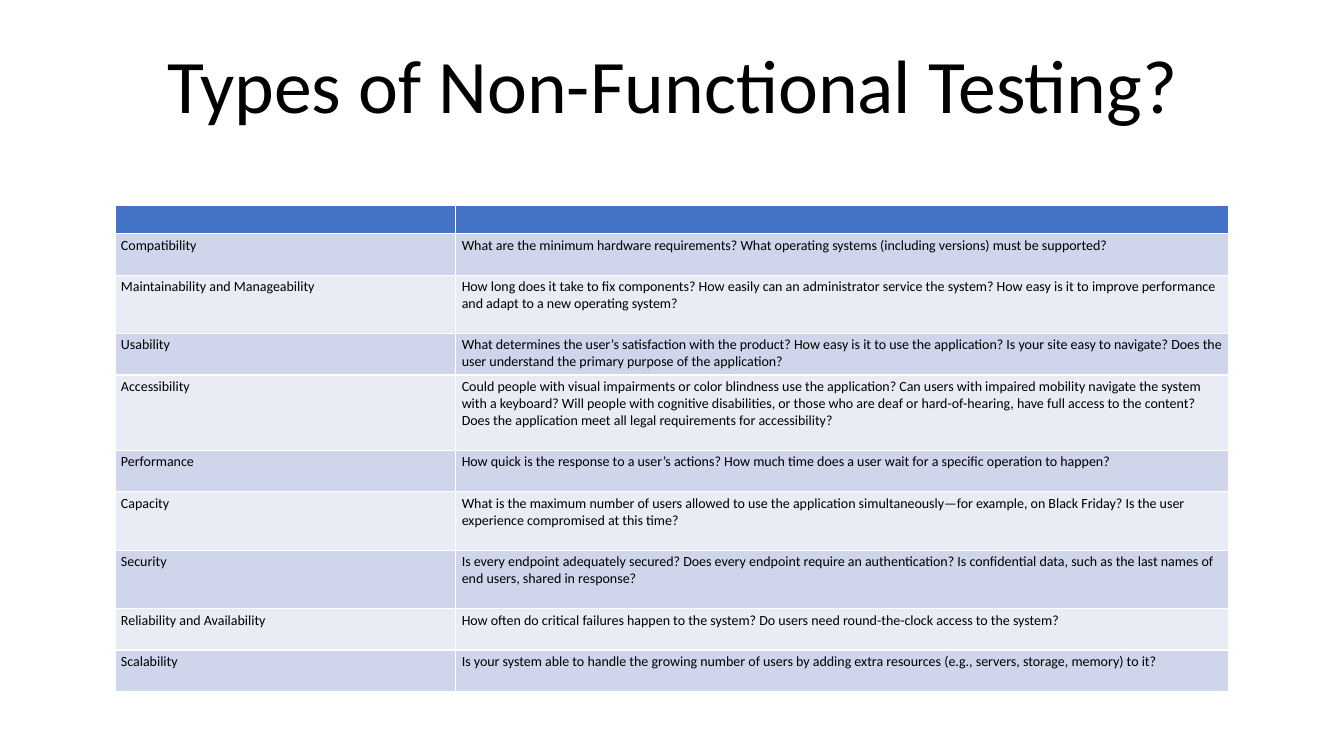
"""Build a slide that lists the types of non-functional testing."""
from pptx import Presentation
from pptx.dml.color import RGBColor
from pptx.enum import text
from pptx.util import Inches, Pt

TITLE = "Types of Non-Functional Testing?"
COLUMN_WIDTHS = (3.38, 7.67)
HEADER_HEIGHT = 0.28
HEADER_FILL = "4472C4"
BAND_FILLS = ("CFD5EA", "E9EBF5")
TEST_TYPES = [
    ("Compatibility", 0.41,
     "What are the minimum hardware requirements? What operating systems "
     "(including versions) must be supported?"),
    ("Maintainability and Manageability", 0.58,
     "How long does it take to fix components? How easily can an administrator "
     "service the system? How easy is it to improve performance and adapt to a "
     "new operating system?"),
    ("Usability", 0.41,
     "What determines the user’s satisfaction with the product? How easy is it "
     "to use the application? Is your site easy to navigate? Does the user "
     "understand the primary purpose of the application?"),
    ("Accessibility", 0.75,
     "Could people with visual impairments or color blindness use the "
     "application? Can users with impaired mobility navigate the system with a "
     "keyboard? Will people with cognitive disabilities, or those who are deaf "
     "or hard-of-hearing, have full access to the content? Does the application "
     "meet all legal requirements for accessibility?"),
    ("Performance", 0.41,
     "How quick is the response to a user’s actions? How much time does a user "
     "wait for a specific operation to happen?"),
    ("Capacity", 0.58,
     "What is the maximum number of users allowed to use the application "
     "simultaneously—for example, on Black Friday? Is the user experience "
     "compromised at this time?"),
    ("Security", 0.58,
     "Is every endpoint adequately secured? Does every endpoint require an "
     "authentication? Is confidential data, such as the last names of end "
     "users, shared in response?"),
    ("Reliability and Availability", 0.41,
     "How often do critical failures happen to the system? Do users need "
     "round-the-clock access to the system?"),
    ("Scalability", 0.41,
     "Is your system able to handle the growing number of users by adding extra "
     "resources (e.g., servers, storage, memory) to it?"),
]


def paint(color_format, color):
    color_format.rgb = RGBColor.from_string(color)


def set_font(paragraph, size):
    paragraph.font.name = "Calibri"
    paragraph.font.size = Pt(size)
    paint(paragraph.font.color, "000000")


def add_title(slide):
    box = slide.shapes.add_textbox(Inches(0.92), Inches(0.32), Inches(11.5), Inches(1.02))
    frame = box.text_frame
    frame.word_wrap = True
    frame.vertical_anchor = text.MSO_ANCHOR.BOTTOM
    paragraph = frame.paragraphs[0]
    paragraph.text = TITLE
    paragraph.alignment = text.PP_ALIGN.CENTER
    paragraph.line_spacing = 0.9
    paragraph.space_after = Pt(6)
    set_font(paragraph, 54)


def fill_cell(cell, wording, color):
    cell.margin_left = cell.margin_right = Inches(0.06)
    cell.margin_top = cell.margin_bottom = Inches(0.03)
    cell.fill.solid()
    paint(cell.fill.fore_color, color)
    paragraph = cell.text_frame.paragraphs[0]
    paragraph.text = wording
    set_font(paragraph, 10)


def add_test_table(slide):
    rows = [(HEADER_HEIGHT, HEADER_FILL, ("", ""))]
    for index, (name, height, questions) in enumerate(TEST_TYPES):
        rows.append((height, BAND_FILLS[index % 2], (name, questions)))
    table = slide.shapes.add_table(
        len(rows), len(COLUMN_WIDTHS), Inches(1.14), Inches(2.04),
        Inches(sum(COLUMN_WIDTHS)), Inches(sum(row[0] for row in rows))).table
    for column, width in zip(table.columns, COLUMN_WIDTHS):
        column.width = Inches(width)
    for row, (height, color, wordings) in zip(table.rows, rows):
        row.height = Inches(height)
        for cell, wording in zip(row.cells, wordings):
            fill_cell(cell, wording, color)


presentation = Presentation()
presentation.slide_width = Inches(13.33)
presentation.slide_height = Inches(7.5)
slide = presentation.slides.add_slide(presentation.slide_layouts[6])
add_title(slide)
add_test_table(slide)
presentation.save("out.pptx")
